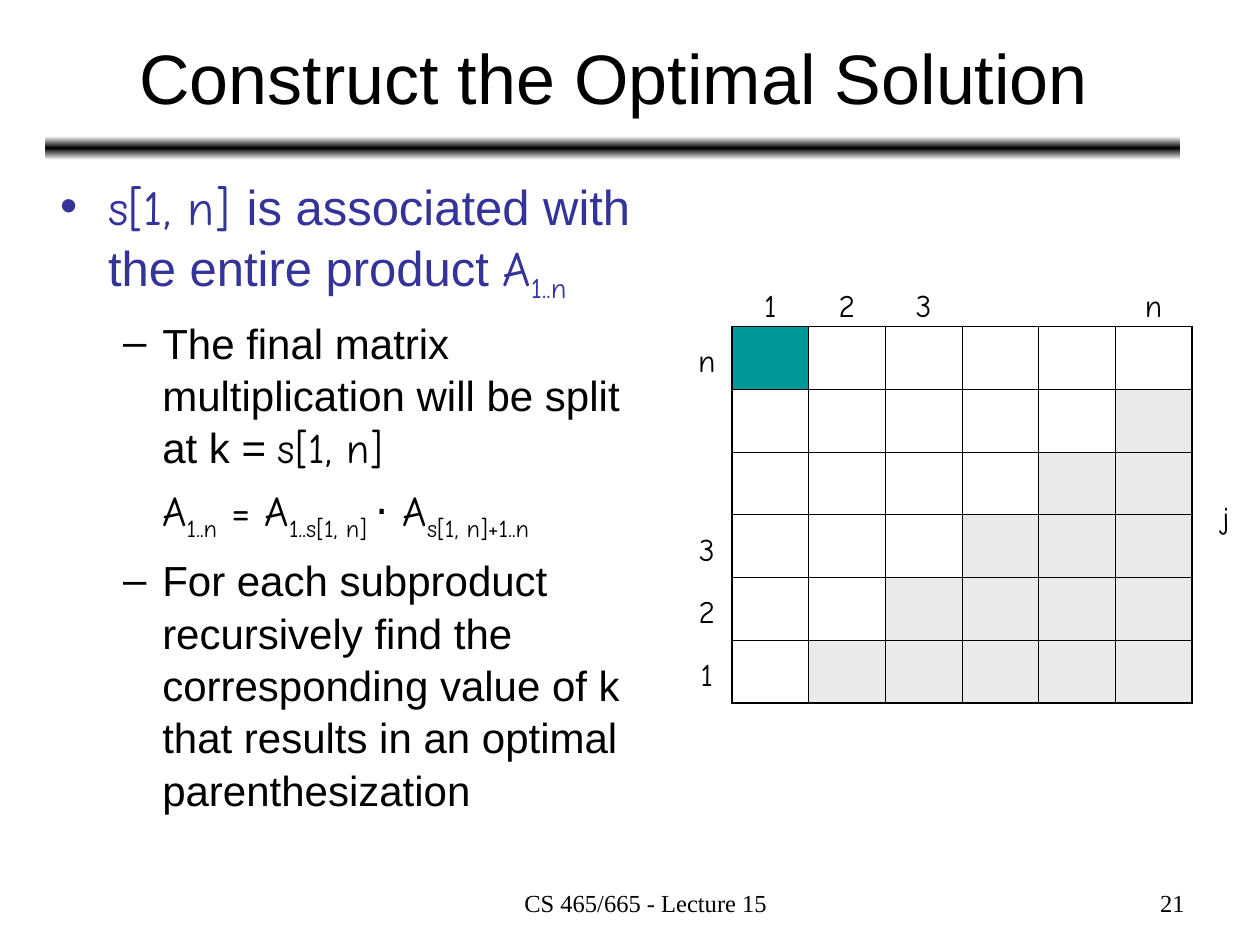
import pptx
import pptx.util
import pptx.dml.color
import pptx.enum.shapes
import pptx.enum.text
import pptx.oxml.ns
import lxml.etree

COLUMNS, ROWS = 1000, 750
WIDTH, HEIGHT = pptx.util.Inches(10), pptx.util.Inches(7.5)
COLORS = {"ink": "000000", "paper": "FFFFFF", "accent": "333399",
          "start": "009999", "unused": "EAEAEA"}
SANS, COMIC, SERIF = "Arial", "Comic Neue", "Times New Roman"
ALIGN = pptx.enum.text.PP_ALIGN
ANCHOR = pptx.enum.text.MSO_ANCHOR


def across(columns):
    return round(WIDTH * columns / COLUMNS)


def down(rows):
    return round(HEIGHT * rows / ROWS)


def place(box):
    left, top, width, height = box
    return across(left), down(top), across(width), down(height)


def color(name):
    return pptx.dml.color.RGBColor.from_string(COLORS[name])


def add_node(parent, tag, **attributes):
    return lxml.etree.SubElement(parent, pptx.oxml.ns.qn(tag), attributes)


def add_span(para, text, size, font, ink="ink", lowered=False):
    span = para.add_run()
    span.text = text
    span.font.size = pptx.util.Pt(size)
    span.font.name = font
    span.font.color.rgb = color(ink)
    if lowered:
        span.font._element.set("baseline", "-25000")


def add_frame(page, box, anchor=ANCHOR.TOP):
    frame = page.shapes.add_textbox(*place(box)).text_frame
    frame.word_wrap = True
    frame.vertical_anchor = anchor
    return frame


def add_line(page, box, text, size, font, align=ALIGN.CENTER, anchor=ANCHOR.TOP, margin=0):
    para = add_frame(page, box, anchor).paragraphs[0]
    para.alignment = align
    if margin:
        para._p.get_or_add_pPr().set("marL", str(across(margin)))
    add_span(para, text, size, font)


def add_label(page, center, middle, text):
    width, height = 34, 40
    frame = add_frame(page, (center - width / 2, middle - height / 2, width, height))
    frame.word_wrap = False
    para = frame.paragraphs[0]
    para.alignment = ALIGN.CENTER
    add_span(para, text, 18, COMIC)


def add_rule(page, box):
    bar = page.shapes.add_shape(pptx.enum.shapes.MSO_SHAPE.ROUNDED_RECTANGLE, *place(box))
    bar.shadow.inherit = False
    bar.line.fill.background()
    bar.fill.gradient()
    bar.fill.gradient_angle = 90
    stops = bar._element.spPr.find(".//" + pptx.oxml.ns.qn("a:gsLst"))
    for stop in list(stops):
        stops.remove(stop)
    for position, name in ((0, "paper"), (50000, "ink"), (100000, "paper")):
        stop = add_node(stops, "a:gs", pos=str(position))
        add_node(stop, "a:srgbClr", val=COLORS[name])


def add_outline(page, box):
    items = [
        ("•", 28, "accent", 38, -38, 0,
         [("s[1, n] ", COMIC, False), ("is associated with the entire product ", SANS, False),
          ("A", COMIC, False), ("1..n", COMIC, True)]),
        ("–", 24, "ink", 81, -31, 6,
         [("The final matrix multiplication will be split at k = ", SANS, False),
          ("s[1, n]", COMIC, False)]),
        (None, 24, "ink", 81, 0, 6,
         [("A", COMIC, False), ("1..n", COMIC, True), (" = A", COMIC, False),
          ("1..s[1, n] ", COMIC, True), ("⋅", SANS, False), (" A", COMIC, False),
          ("s[1, n]+1..n", COMIC, True)]),
        ("–", 24, "ink", 81, -31, 6,
         [("For each subproduct recursively find the corresponding value of k "
           "that results in an optimal parenthesization", SANS, False)]),
    ]
    frame = add_frame(page, box)
    for index, (bullet, size, ink, margin, indent, before, spans) in enumerate(items):
        para = frame.add_paragraph() if index else frame.paragraphs[0]
        para.line_spacing = 1.04
        if before:
            para.space_before = pptx.util.Pt(before)
        settings = para._p.get_or_add_pPr()
        settings.set("marL", str(across(margin)))
        settings.set("indent", str(across(indent)))
        if bullet:
            add_node(add_node(settings, "a:buClr"), "a:srgbClr", val=COLORS[ink])
            add_node(settings, "a:buFont", typeface=SANS)
            add_node(settings, "a:buChar", char=bullet)
        else:
            add_node(settings, "a:buNone")
        for text, font, lowered in spans:
            add_span(para, text, size, font, ink, lowered)


def add_borders(cell, row, column, count):
    outer = {"a:lnL": column == 0, "a:lnR": column == count - 1,
             "a:lnT": row == 0, "a:lnB": row == count - 1}
    settings = cell._tc.get_or_add_tcPr()
    for tag, is_outer in outer.items():
        weight = pptx.util.Pt(1.08 if is_outer else 0.45)
        edge = add_node(settings, tag, w=str(weight))
        add_node(add_node(edge, "a:solidFill"), "a:srgbClr", val=COLORS["ink"])


def add_matrix(page, box, count=6):
    left, top, width, height = box
    step, rise = width / count, height / count
    table = page.shapes.add_table(count, count, *place(box)).table
    table.first_row = table.horz_banding = False
    for index in range(count):
        table.columns[index].width = across(step)
        table.rows[index].height = down(rise)
    for row in range(count):
        for column in range(count):
            cell = table.cell(row, column)
            add_borders(cell, row, column, count)
            if row == column == 0:
                cell.fill.solid()
                cell.fill.fore_color.rgb = color("start")
            elif row + column >= count:
                cell.fill.solid()
                cell.fill.fore_color.rgb = color("unused")
            else:
                cell.fill.background()
    for index, text in ((0, "1"), (1, "2"), (2, "3"), (count - 1, "n")):
        add_label(page, left + step * (index + 0.5), top - 17, text)
        add_label(page, left - 20, top + rise * (count - index - 0.5) + 2, text)
    add_label(page, left + width + 27, top + height / 2 + 2, "j")


def add_footer(page, box):
    left, top, width, height = box
    add_line(page, (left, top, 317, height), "CS 465/665 - Lecture 15", 14, SERIF, margin=24)
    add_line(page, (left + width - 233, top, 233, height), "21", 14, SERIF, ALIGN.RIGHT, margin=24)


def main():
    deck = pptx.Presentation()
    deck.slide_width, deck.slide_height = WIDTH, HEIGHT
    page = deck.slides.add_slide(deck.slide_layouts[6])
    add_rule(page, (36, 108, 901, 19))
    add_line(page, (37, 11, 900, 99), "Construct the Optimal Solution", 40, SANS,
             anchor=ANCHOR.MIDDLE)
    add_outline(page, (38, 133, 490, 555))
    add_matrix(page, (581, 259, 365, 299))
    add_footer(page, (342, 700, 608, 35))
    deck.save("out.pptx")


if __name__ == "__main__":
    main()
